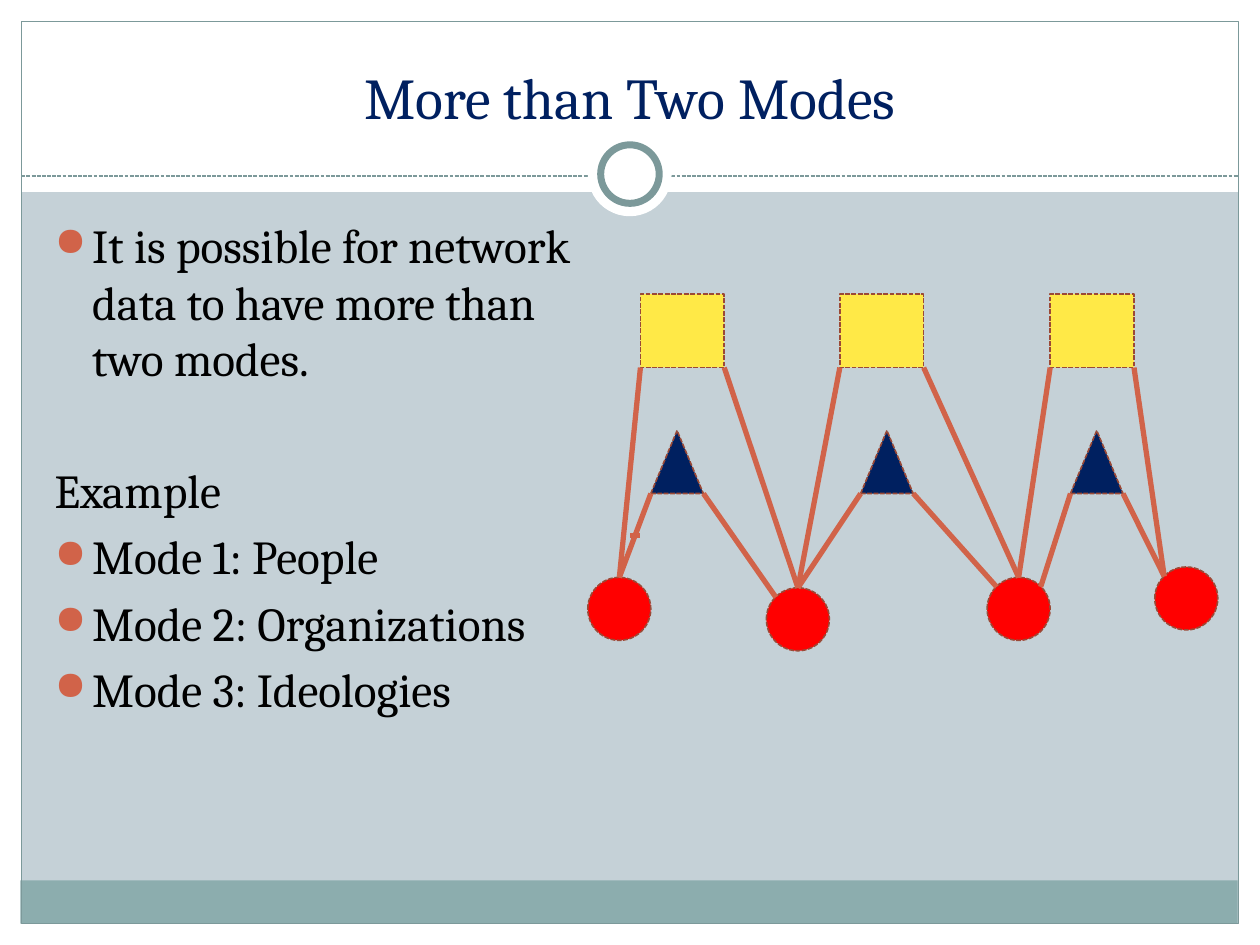
from typing import NamedTuple

from lxml import etree
from pptx import Presentation
from pptx import util as u
from pptx.dml.color import RGBColor
from pptx.enum import dml, shapes, text
from pptx.oxml.ns import qn

KIND = shapes.MSO_SHAPE
DASH = dml.MSO_LINE.SQUARE_DOT
WHITE, TEAL, RUST, NAVY = "FFFFFF", "7C999A", "D16349", "002060"
FONT = "Cambria"


class Box(NamedTuple):
    """A preset shape; lengths in centimetres, line width in points."""
    kind: int
    x: float
    y: float
    w: float
    h: float
    fill: str | None = None
    edge: str | None = None
    width: float = 0.75
    dash: int | None = None

    def spot(self, across: float, down: float) -> tuple[float, float]:
        return self.x + across * self.w, self.y + down * self.h


class Tie(NamedTuple):
    """A line from a circle to a bottom corner of another node."""
    ring: Box
    rim: tuple[float, float]
    node: Box
    side: int


class Item(NamedTuple):
    words: str
    dot: bool
    gap: float


def paint(part, color: str) -> None:
    part.solid()
    part.fore_color.rgb = RGBColor.from_string(color)


def style(target, **values) -> None:
    for name, value in values.items():
        setattr(target, name, value)


def stroke(line, color: str, width: float, dash: int | None) -> None:
    paint(line.fill, color)
    style(line, width=u.Pt(width), dash_style=dash)


def draw(slide, box: Box) -> None:
    shape = slide.shapes.add_shape(
        box.kind, *map(u.Cm, (box.x, box.y, box.w, box.h)))
    shape.shadow.inherit = False
    if box.fill:
        paint(shape.fill, box.fill)
    else:
        shape.fill.background()
    if box.edge:
        stroke(shape.line, box.edge, box.width, box.dash)
    else:
        shape.line.fill.background()


def link(slide, start: tuple, end: tuple, color: str, width: float,
         dash: int | None = None) -> None:
    line = slide.shapes.add_connector(
        shapes.MSO_CONNECTOR.STRAIGHT, *map(u.Cm, (*start, *end)))
    stroke(line.line, color, width, dash)
    etree.SubElement(line._element.spPr, qn("a:effectLst"))


def frame(slide, x: float, y: float, w: float, h: float, anchor: int):
    area = slide.shapes.add_textbox(*map(u.Cm, (x, y, w, h))).text_frame
    style(area, word_wrap=True, vertical_anchor=anchor)
    return area


def write(para, words: str, size: float, color: str) -> None:
    font = para.add_run().font
    para.runs[0].text = words
    style(font, name=FONT, size=u.Pt(size))
    font.color.rgb = RGBColor.from_string(color)


def indent(para, dot: bool) -> None:
    props = para._p.get_or_add_pPr()
    props.set("marL", str(u.Cm(0.76)))
    props.set("indent", str(u.Cm(-0.76)))
    if not dot:
        etree.SubElement(props, qn("a:buNone"))
        return
    tint = etree.SubElement(props, qn("a:buClr"))
    etree.SubElement(tint, qn("a:srgbClr"), val=RUST)
    etree.SubElement(props, qn("a:buSzPct"), val="85000")
    etree.SubElement(props, qn("a:buChar"), char="●")


# Slide size and page
deck = Presentation()
style(deck, slide_width=u.Cm(25.4), slide_height=u.Cm(19.05))
slide = deck.slides.add_slide(deck.slide_layouts[6])
paint(slide.background.fill, "C5D1D7")

# White margins, footer band, border
for box in (
    Box(KIND.RECTANGLE, 0, 18.62, 25.4, 0.43, WHITE),
    Box(KIND.RECTANGLE, 0, 0, 25.4, 3.87, WHITE),
    Box(KIND.RECTANGLE, 0, 0, 0.43, 19.05, WHITE),
    Box(KIND.RECTANGLE, 24.97, 0, 0.43, 19.05, WHITE),
    Box(KIND.RECTANGLE, 0.41, 17.75, 24.54, 0.87, "8CADAE"),
    Box(KIND.RECTANGLE, 0.43, 0.43, 24.54, 18.19, None, TEAL),
):
    draw(slide, box)

# Header rule with its ring
link(slide, (0.43, 3.55), (24.97, 3.55), TEAL, 0.75, DASH)
draw(slide, Box(KIND.OVAL, 11.85, 2.67, 1.69, 1.69, WHITE))
draw(slide, Box(KIND.OVAL, 12.11, 2.92, 1.18, 1.18, WHITE, TEAL, 4))

# Title
title = frame(slide, 0.85, 0.64, 23.7, 2.12, text.MSO_ANCHOR.BOTTOM)
head = title.paragraphs[0]
head.alignment = text.PP_ALIGN.CENTER
write(head, "More than Two Modes", 33, NAVY)

# Body text
items = (
    Item("It is possible for network data to have more than two modes.",
         True, 0),
    Item("Example", False, 43),
    Item("Mode 1: People", True, 5.4),
    Item("Mode 2: Organizations", True, 5.4),
    Item("Mode 3: Ideologies", True, 5.4),
)
body = frame(slide, 0.85, 4.23, 11.01, 12.7, text.MSO_ANCHOR.TOP)
for rank, item in enumerate(items):
    para = body.add_paragraph() if rank else body.paragraphs[0]
    para.space_before = u.Pt(item.gap)
    indent(para, item.dot)
    write(para, item.words, 27, "000000")

# Nodes: one row per mode
EDGE = ("9B4936", 0.9, DASH)
rings = [Box(KIND.OVAL, x, y, 1.27, 1.27, "FF0000", *EDGE)
         for x, y in ((11.85, 11.64), (15.45, 11.85),
                      (19.9, 11.64), (23.28, 11.43))]
peaks = [Box(KIND.ISOSCELES_TRIANGLE, 13.12 + 4.23 * i, 8.68, 1.06, 1.27,
             NAVY, *EDGE) for i in range(3)]
blocks = [Box(KIND.RECTANGLE, x, 5.93, 1.69, 1.48, "FFE947", *EDGE)
          for x in (12.91, 16.93, 21.17)]
for node in rings + peaks + blocks:
    draw(slide, node)

# Ties between the circles and the other two modes
TOP, LEFT, RIGHT = (0.5, 0), (0.15, 0.15), (0.85, 0.15)
for tie in (
    Tie(rings[0], TOP, blocks[0], 0),
    Tie(rings[1], TOP, blocks[0], 1),
    Tie(rings[1], TOP, blocks[1], 0),
    Tie(rings[2], TOP, blocks[1], 1),
    Tie(rings[2], TOP, blocks[2], 0),
    Tie(rings[3], LEFT, blocks[2], 1),
    Tie(rings[0], TOP, peaks[0], 0),
    Tie(rings[1], LEFT, peaks[0], 1),
    Tie(rings[1], TOP, peaks[1], 0),
    Tie(rings[2], LEFT, peaks[1], 1),
    Tie(rings[2], RIGHT, peaks[2], 0),
    Tie(rings[3], LEFT, peaks[2], 1),
):
    link(slide, tie.ring.spot(*tie.rim), tie.node.spot(tie.side, 1), RUST, 3)
link(slide, (12.7, 10.8), (12.91, 10.8), RUST, 3)

deck.save("out.pptx")
